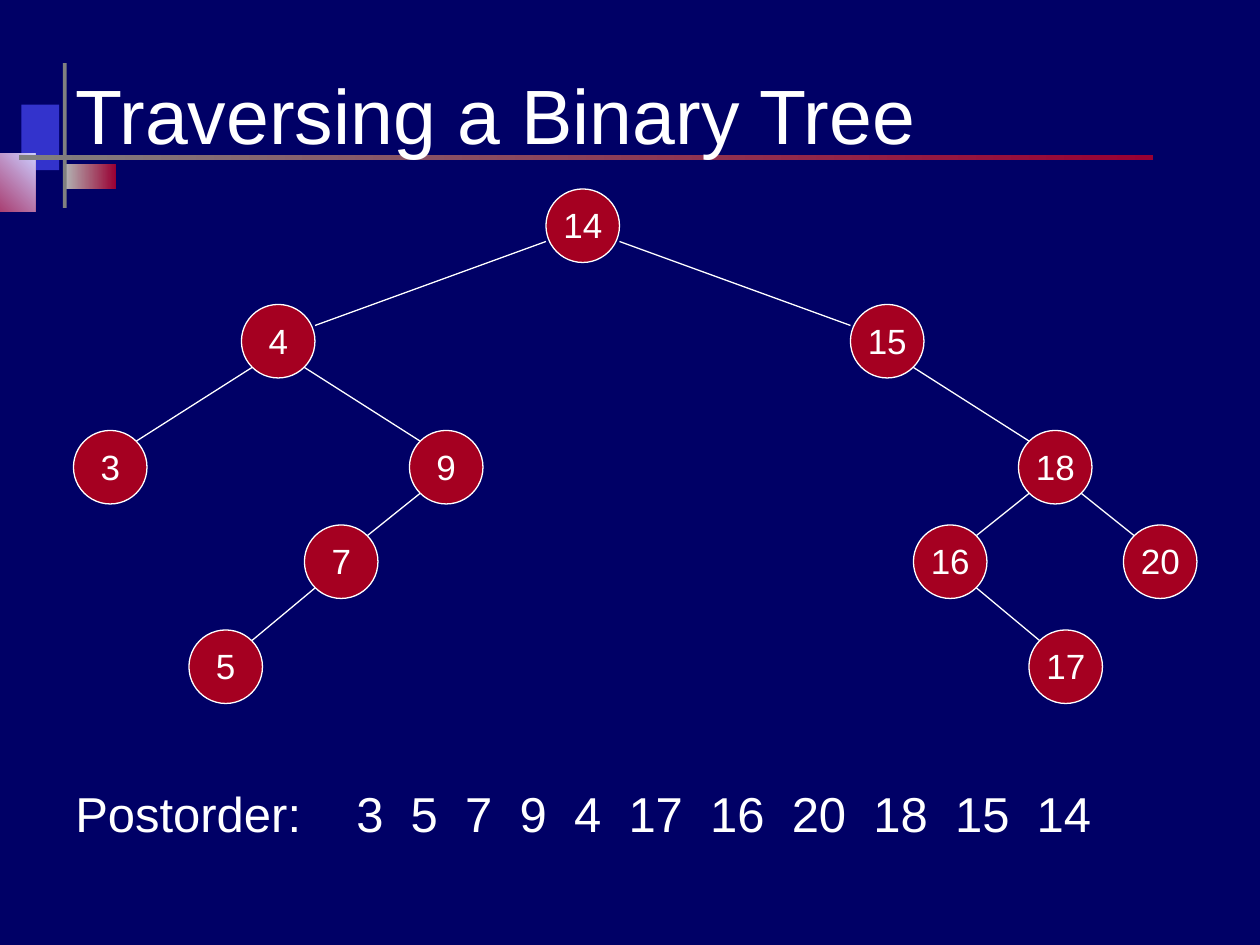
import pptx
import pptx.dml.color
import pptx.enum.shapes
import pptx.enum.text
import pptx.util
from lxml import etree
from pptx.oxml.ns import qn

UNIT = 1 / 12  # grid step of the tree, in inches
NODE = 7       # node diameter in grid steps
WHITE, RED = "FFFFFF", "A50021"
SHAPE = pptx.enum.shapes.MSO_SHAPE
ALIGN = pptx.enum.text.PP_ALIGN
ANCHOR = pptx.enum.text.MSO_ANCHOR

# value: (column, row, left child, right child)
TREE = {
    14: (52, 18, 4, 15),
    4: (23, 29, 3, 9),
    15: (81, 29, None, 18),
    3: (7, 41, None, None),
    9: (39, 41, 7, None),
    18: (97, 41, 16, 20),
    7: (29, 50, 5, None),
    16: (87, 50, None, 17),
    20: (107, 50, None, None),
    5: (18, 60, None, None),
    17: (98, 60, None, None),
}
ROOT = 14

# left, top, width, height, colours, gradient angle (counter-clockwise)
ORNAMENTS = [
    (0.17, 0.83, 0.3, 0.52, ["3333CC"], 0),
    (0.52, 1.3, 0.4, 0.2, ["B2B2B2", "990033"], 0),
    (-0.33, 1.22, 0.61, 0.46, ["990033", "CCCCFF"], 45),
    (0.5, 0.5, 0.03, 1.15, ["808080"], 0),
    (0.15, 1.23, 9, 0.04, ["808080", "990033"], 0),
]


def color(hex_code):
    return pptx.dml.color.RGBColor.from_string(hex_code)


def inches(*lengths):
    return [pptx.util.Inches(length) for length in lengths]


def grid(*steps):
    return inches(*(step * UNIT for step in steps))


def add_ornament(page, left, top, width, height, colors, angle):
    box = page.shapes.add_shape(SHAPE.RECTANGLE, *inches(left, top, width, height))
    box.shadow.inherit = False
    box.line.fill.background()
    if len(colors) == 1:
        box.fill.solid()
        box.fill.fore_color.rgb = color(colors[0])
        return
    box.fill.gradient()
    box.fill.gradient_angle = angle
    for stop, hex_code in zip(box.fill.gradient_stops, colors):
        stop.color.rgb = color(hex_code)


def add_tab_stops(para, stops):
    tabs = etree.SubElement(para._p.get_or_add_pPr(), qn("a:tabLst"))
    for stop in stops:
        etree.SubElement(tabs, qn("a:tab"), pos=str(pptx.util.Inches(stop)), algn="l")


def add_text(shapes, place, text, size, align=ALIGN.LEFT, anchor=ANCHOR.TOP, stops=()):
    box = shapes.add_textbox(*place)
    frame = box.text_frame
    frame.word_wrap = True
    frame.vertical_anchor = anchor
    para = frame.paragraphs[0]
    para.alignment = align
    if stops:
        add_tab_stops(para, stops)
    span = para.add_run()
    span.text = text
    span.font.name = "Arial"
    span.font.size = pptx.util.Pt(size)
    span.font.color.rgb = color(WHITE)


def add_node(page, value):
    column, row = TREE[value][:2]
    group = page.shapes.add_group_shape()
    circle = group.shapes.add_shape(SHAPE.OVAL, *grid(column, row, NODE, NODE))
    circle.shadow.inherit = False
    circle.fill.solid()
    circle.fill.fore_color.rgb = color(RED)
    circle.line.color.rgb = color(WHITE)
    circle.line.width = pptx.util.Pt(0.75)
    add_text(group.shapes, grid(column - 1, row + 0.8, NODE + 2, 5.28),
             str(value), 20, ALIGN.CENTER)


def add_edge(page, parent, child):
    # Edges meet a node's frame a little inside its corner; the root's are flatter
    inset_x, inset_y = (0, 2) if parent == ROOT else (1, 1)
    (start_x, start_y), (end_x, end_y) = TREE[parent][:2], TREE[child][:2]
    near, far = inset_x, NODE - inset_x
    leave, arrive = (far, near) if end_x > start_x else (near, far)
    line = page.shapes.add_connector(
        pptx.enum.shapes.MSO_CONNECTOR.STRAIGHT,
        *grid(start_x + leave, start_y + NODE - inset_y,
              end_x + arrive, end_y + inset_y))
    line.line.color.rgb = color(WHITE)
    line.line.width = pptx.util.Pt(0.75)
    etree.SubElement(line._element.spPr, qn("a:effectLst"))


def postorder(value):
    if value is None:
        return []
    left, right = TREE[value][2:]
    return postorder(left) + postorder(right) + [value]


def add_postorder(page):
    names = [str(value) for value in postorder(ROOT)]
    digit = 0.216  # width of one digit, and of the gap between numbers
    stops = [2.23]
    for name in names[:-1]:
        stops.append(stops[-1] + digit * (len(name) + 1))
    add_text(page.shapes, inches(0.5, 6.17, 9, 0.75),
             "\t".join(["Postorder:"] + names), 28, stops=stops)


def main():
    deck = pptx.Presentation()
    deck.slide_width, deck.slide_height = inches(10, 7.5)
    page = deck.slides.add_slide(deck.slide_layouts[6])
    page.background.fill.solid()
    page.background.fill.fore_color.rgb = color("000066")

    # Ornaments and title
    for ornament in ORNAMENTS:
        add_ornament(page, *ornament)
    add_text(page.shapes, inches(0.5, 0.4, 9, 1), "Traversing a Binary Tree", 44,
             anchor=ANCHOR.MIDDLE)

    # Line of visited values
    add_postorder(page)

    # Tree
    for value, (_, _, *children) in TREE.items():
        add_node(page, value)
        for child in children:
            if child is not None:
                add_edge(page, value, child)

    deck.save("out.pptx")


if __name__ == "__main__":
    main()
